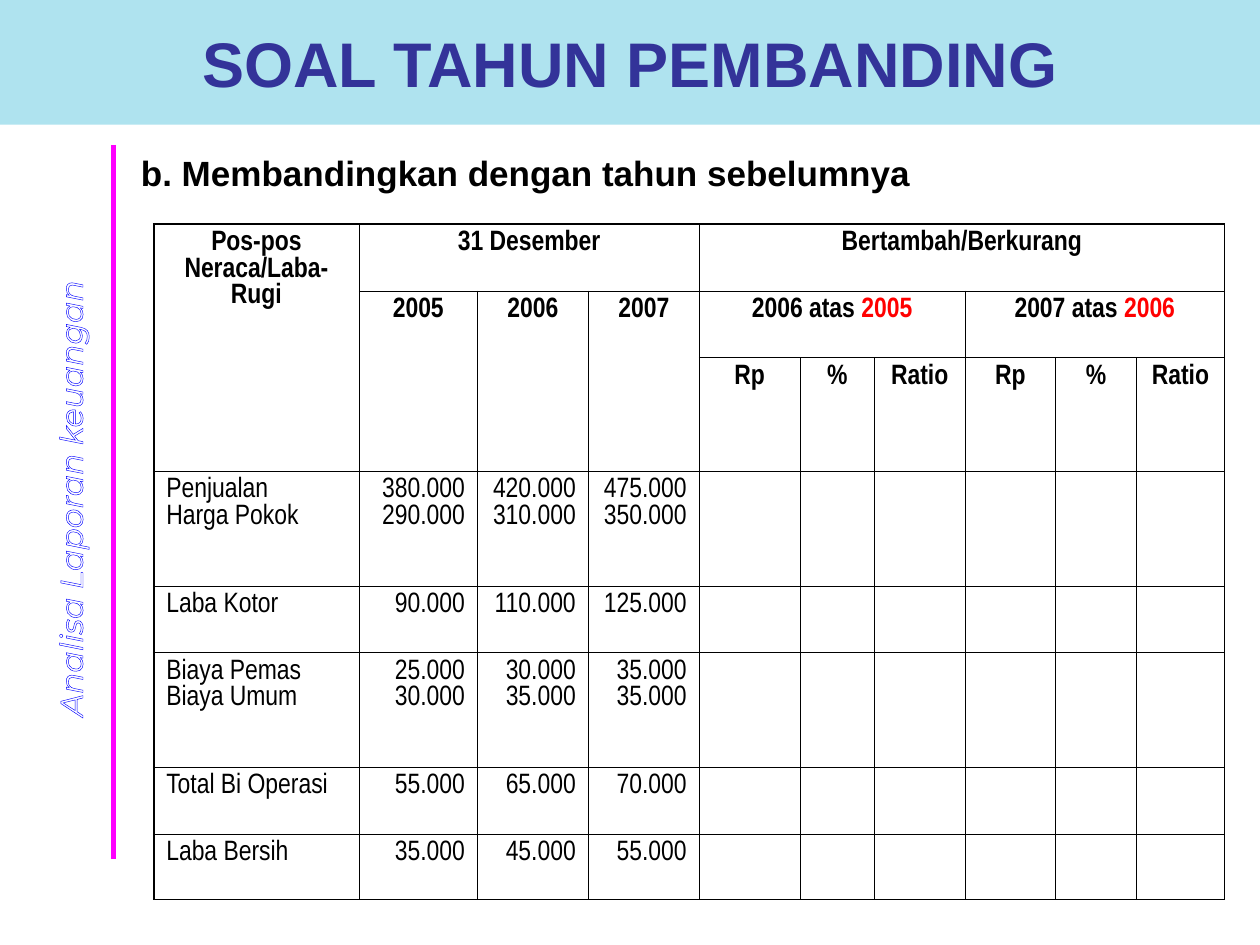
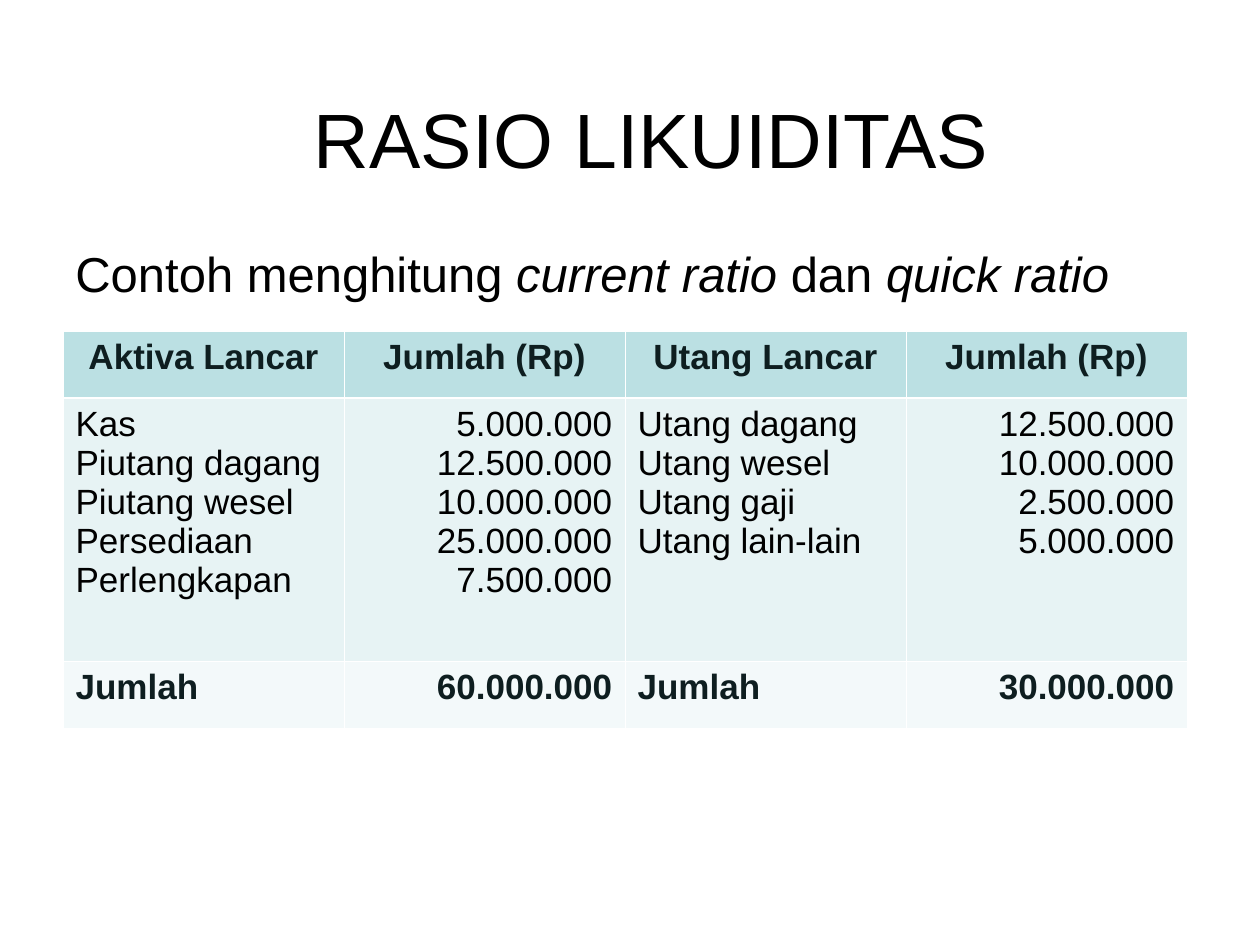
"""Build two slides on comparing years and on liquidity ratios."""
from dataclasses import dataclass, field
from typing import Any

from lxml import etree
from pptx import Presentation
from pptx.dml.color import RGBColor
from pptx.enum.shapes import MSO_CONNECTOR
from pptx.enum.text import MSO_ANCHOR, MSO_AUTO_SIZE, PP_ALIGN
from pptx.oxml.ns import qn
from pptx.util import Pt

PX = 9144
LEFT, CENTER, RIGHT = PP_ALIGN.LEFT, PP_ALIGN.CENTER, PP_ALIGN.RIGHT
TOP, MIDDLE = MSO_ANCHOR.TOP, MSO_ANCHOR.MIDDLE
NO_FIT = MSO_AUTO_SIZE.NONE
STRAIGHT = MSO_CONNECTOR.STRAIGHT

BLACK = RGBColor(0x00, 0x00, 0x00)
WHITE = RGBColor(0xFF, 0xFF, 0xFF)
RED = RGBColor(0xFF, 0x00, 0x00)
BLUE = RGBColor(0x00, 0x00, 0xFF)
MAGENTA = RGBColor(0xFF, 0x00, 0xFF)
INDIGO = RGBColor(0x33, 0x33, 0x99)
SKY = RGBColor(0xAF, 0xE3, 0xEF)
DARK_TEAL = RGBColor(0x0E, 0x1E, 0x20)
TEAL = RGBColor(0xBB, 0xE0, 0xE3)
PALE_TEAL = RGBColor(0xE7, 0xF3, 0xF4)
ICE = RGBColor(0xF3, 0xF9, 0xFA)

HAIR, OUTER, HEAVY = 0.45, 1.08, 1.47


@dataclass(frozen=True)
class Style:
    size: int
    rgb: RGBColor = BLACK
    name: str = "Arial"
    bold: bool = False
    italic: bool = False


@dataclass(frozen=True)
class Run:
    text: str
    style: Style


@dataclass(frozen=True)
class Box:
    x: int
    y: int
    w: int
    h: int

    def emu(self) -> list[int]:
        return [v * PX for v in (self.x, self.y, self.w, self.h)]


@dataclass(frozen=True)
class Grid:
    x: int
    y: int
    cols: list[int]
    rows: list[int]
    line: RGBColor
    edge: float = HAIR
    header_rows: int = 1
    header_rule: float = HAIR
    fills: list[RGBColor] = field(default_factory=list)
    merges: list[tuple[int, int, int, int]] = field(default_factory=list)


NARROW = Style(16, name="Arial Narrow")
NARROW_BOLD = Style(16, name="Arial Narrow", bold=True)
NARROW_RED = Style(16, RED, "Arial Narrow", bold=True)
BODY = Style(20)
STRONG = Style(20, DARK_TEAL, bold=True)
LEAD = Style(28)
LEAD_ITALIC = Style(28, italic=True)

COMPARISON = Grid(
    122, 178, [163, 94, 88, 88, 80, 59, 72, 72, 64, 70],
    [53, 53, 90, 91, 53, 91, 53, 52], BLACK, OUTER, header_rows=3,
    merges=[(0, 0, 2, 0), (0, 1, 0, 3), (0, 4, 0, 9), (1, 4, 1, 6), (1, 7, 1, 9)]
    + [(1, c, 2, c) for c in (1, 2, 3)])
COMPARISON_HEAD = {
    (0, 0): "Pos-pos Neraca/Laba-Rugi", (0, 1): "31 Desember",
    (0, 4): "Bertambah/Berkurang",
    (1, 1): "2005", (1, 2): "2006", (1, 3): "2007"}
COMPARED_YEARS = {4: ("2006", "2005"), 7: ("2007", "2006")}
MEASURES = ["Rp", "%", "Ratio"]
COMPARISON_BODY = [
    ["Penjualan\nHarga Pokok", "380.000\n290.000", "420.000\n310.000", "475.000\n350.000"],
    ["Laba Kotor", "90.000", "110.000", "125.000"],
    ["Biaya Pemas\nBiaya Umum", "25.000\n30.000", "30.000\n35.000", "35.000\n35.000"],
    ["Total Bi Operasi", "55.000", "65.000", "70.000"],
    ["Laba Bersih", "35.000", "45.000", "55.000"]]

LIQUIDITY = Grid(50, 263, [223] * 4, [53, 209, 53], WHITE,
                 header_rule=HEAVY, fills=[TEAL, PALE_TEAL, ICE])
LIQUIDITY_ROWS = [
    ["Aktiva Lancar", "Jumlah (Rp)", "Utang Lancar", "Jumlah (Rp)"],
    ["Kas\nPiutang dagang\nPiutang wesel\nPersediaan\nPerlengkapan",
     "5.000.000\n12.500.000\n10.000.000\n25.000.000\n7.500.000",
     "Utang dagang\nUtang wesel\nUtang gaji\nUtang lain-lain",
     "12.500.000\n10.000.000\n2.500.000\n5.000.000"],
    ["Jumlah", "60.000.000", "Jumlah", "30.000.000"]]


def apply(obj: Any, values: dict[str, Any]) -> None:
    """Set each attribute named in values."""
    for key, value in values.items():
        setattr(obj, key, value)


def lines(text: str, style: Style) -> list[list[Run]]:
    """Turn each line of text into a paragraph of one run."""
    return [[Run(line, style)] for line in text.split("\n")]


def write(tf: Any, paragraphs: list[list[Run]], align: Any = LEFT, before: int = 0) -> None:
    """Fill a text frame with formatted paragraphs."""
    for i, runs in enumerate(paragraphs):
        p = tf.add_paragraph() if i else tf.paragraphs[0]
        apply(p, {"alignment": align, "space_before": Pt(before)})
        for run in runs:
            r = p.add_run()
            r.text = run.text
            s = run.style
            apply(r.font, {"name": s.name, "size": Pt(s.size),
                           "bold": s.bold, "italic": s.italic})
            r.font.color.rgb = s.rgb


def add_title(slide: Any, box: Box, text: str, style: Style, before: int = 0) -> Any:
    """Place and format the title placeholder."""
    sp = slide.shapes.title
    apply(sp, dict(zip(("left", "top", "width", "height"), box.emu())))
    tf = sp.text_frame
    apply(tf, {"word_wrap": True, "auto_size": NO_FIT, "vertical_anchor": MIDDLE})
    write(tf, lines(text, style), CENTER, before)
    return sp


def add_text(slide: Any, box: Box, paragraphs: list[list[Run]], align: Any = LEFT,
             anchor: Any = TOP, wrap: bool = True) -> Any:
    """Add a text box."""
    sp = slide.shapes.add_textbox(*box.emu())
    apply(sp.text_frame, {"word_wrap": wrap, "vertical_anchor": anchor})
    write(sp.text_frame, paragraphs, align)
    return sp


def add_stroke(parent: Any, tag: str, index: int, width: float, rgb: RGBColor) -> None:
    """Insert a solid line element of the given width and colour."""
    ln = etree.Element(qn(tag), w=str(int(Pt(width))))
    fill = etree.SubElement(ln, qn("a:solidFill"))
    etree.SubElement(fill, qn("a:srgbClr"), val=str(rgb))
    parent.insert(index, ln)


def draw_borders(cell: Any, grid: Grid, row: int, col: int) -> None:
    """Draw the four borders of a cell by its place in the grid."""
    bottom = row + (cell.span_height if cell.is_merge_origin else 1)
    right = col + (cell.span_width if cell.is_merge_origin else 1)

    def rule(y: int) -> float:
        if y in (0, len(grid.rows)):
            return grid.edge
        return grid.header_rule if y == grid.header_rows else HAIR

    widths = {"a:lnL": HAIR if col else grid.edge,
              "a:lnR": HAIR if right < len(grid.cols) else grid.edge,
              "a:lnT": rule(row), "a:lnB": rule(bottom)}
    tc_pr = cell._tc.get_or_add_tcPr()
    for i, (tag, width) in enumerate(widths.items()):
        add_stroke(tc_pr, tag, i, width, grid.line)


def add_grid(slide: Any, grid: Grid) -> Any:
    """Add an empty table with sizes, merges, fills and borders."""
    box = Box(grid.x, grid.y, sum(grid.cols), sum(grid.rows))
    table = slide.shapes.add_table(len(grid.rows), len(grid.cols), *box.emu()).table
    apply(table, {"first_row": False, "horz_banding": False})
    for col, w in zip(table.columns, grid.cols):
        col.width = w * PX
    for row, h in zip(table.rows, grid.rows):
        row.height = h * PX
    for top, left, bottom, right in grid.merges:
        table.cell(top, left).merge(table.cell(bottom, right))
    for r in range(len(grid.rows)):
        for c in range(len(grid.cols)):
            cell = table.cell(r, c)
            if grid.fills:
                cell.fill.solid()
                cell.fill.fore_color.rgb = grid.fills[r]
            else:
                cell.fill.background()
            draw_borders(cell, grid, r, c)
    return table


def build_comparison(prs: Any) -> None:
    """Build the slide that compares each year with the one before."""
    slide = prs.slides.add_slide(prs.slide_layouts[5])
    band = add_title(slide, Box(0, 0, 1000, 99), "SOAL TAHUN PEMBANDING",
                     Style(36, INDIGO, bold=True), before=9)
    band.fill.solid()
    band.fill.fore_color.rgb = SKY

    side = add_text(slide, Box(-227, 372, 573, 47),
                    lines("Analisa Laporan keuangan", Style(18, WHITE, "Montserrat", italic=True)),
                    CENTER, wrap=False)
    side.rotation = 270
    run = side.text_frame.paragraphs[0].runs[0]
    add_stroke(run.font._element, "a:ln", 0, 0.75, BLUE)

    rule = slide.shapes.add_connector(STRAIGHT, 90 * PX, 115 * PX, 90 * PX, 682 * PX)
    rule.line.color.rgb = MAGENTA
    rule.line.width = Pt(3)
    etree.SubElement(rule._element.spPr, qn("a:effectLst"))

    add_text(slide, Box(102, 115, 772, 44),
             lines("b. Membandingkan dengan tahun sebelumnya", Style(20, bold=True)))

    table = add_grid(slide, COMPARISON)
    for (r, c), text in COMPARISON_HEAD.items():
        write(table.cell(r, c).text_frame, lines(text, NARROW_BOLD), CENTER)
    for first, (year, base) in COMPARED_YEARS.items():
        runs = [Run(f"{year} atas ", NARROW_BOLD), Run(base, NARROW_RED)]
        write(table.cell(1, first).text_frame, [runs], CENTER)
        for c, measure in enumerate(MEASURES, first):
            write(table.cell(2, c).text_frame, lines(measure, NARROW_BOLD), CENTER)
    for r, row in enumerate(COMPARISON_BODY, COMPARISON.header_rows):
        for c, text in enumerate(row):
            write(table.cell(r, c).text_frame, lines(text, NARROW), RIGHT if c else LEFT)


def build_liquidity(prs: Any) -> None:
    """Build the slide with the liquidity ratio example."""
    slide = prs.slides.add_slide(prs.slide_layouts[5])
    add_title(slide, Box(67, 47, 900, 125), "RASIO LIKUIDITAS", Style(44))
    add_text(slide, Box(50, 185, 858, 64),
             [[Run("Contoh menghitung ", LEAD), Run("current ratio ", LEAD_ITALIC),
               Run("dan ", LEAD), Run("quick ratio", LEAD_ITALIC)]], anchor=MIDDLE)
    table = add_grid(slide, LIQUIDITY)
    for r, row in enumerate(LIQUIDITY_ROWS):
        for c, text in enumerate(row):
            align = CENTER if r == 0 else RIGHT if c % 2 else LEFT
            write(table.cell(r, c).text_frame, lines(text, BODY if r == 1 else STRONG), align)


def main() -> None:
    """Build and save the presentation."""
    prs = Presentation()
    apply(prs, {"slide_width": 1000 * PX, "slide_height": 750 * PX})
    build_comparison(prs)
    build_liquidity(prs)
    prs.save("out.pptx")


if __name__ == "__main__":
    main()
